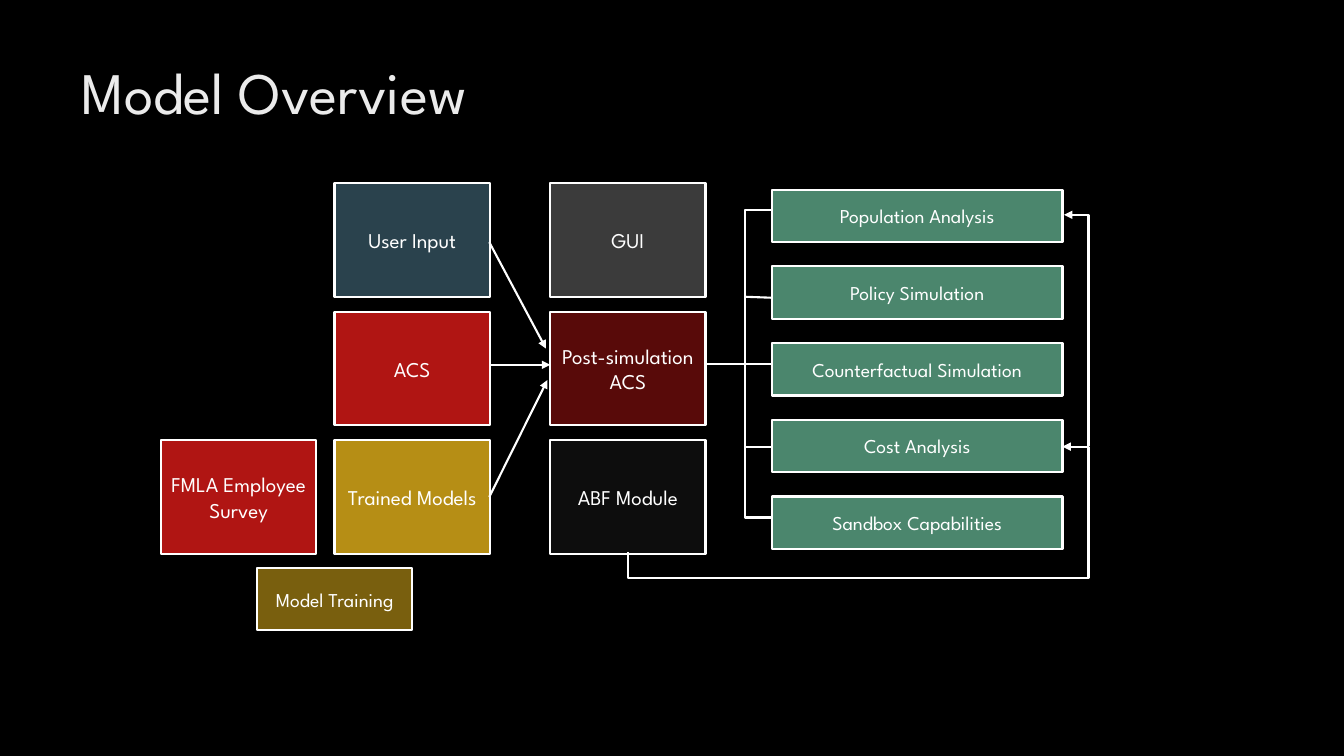
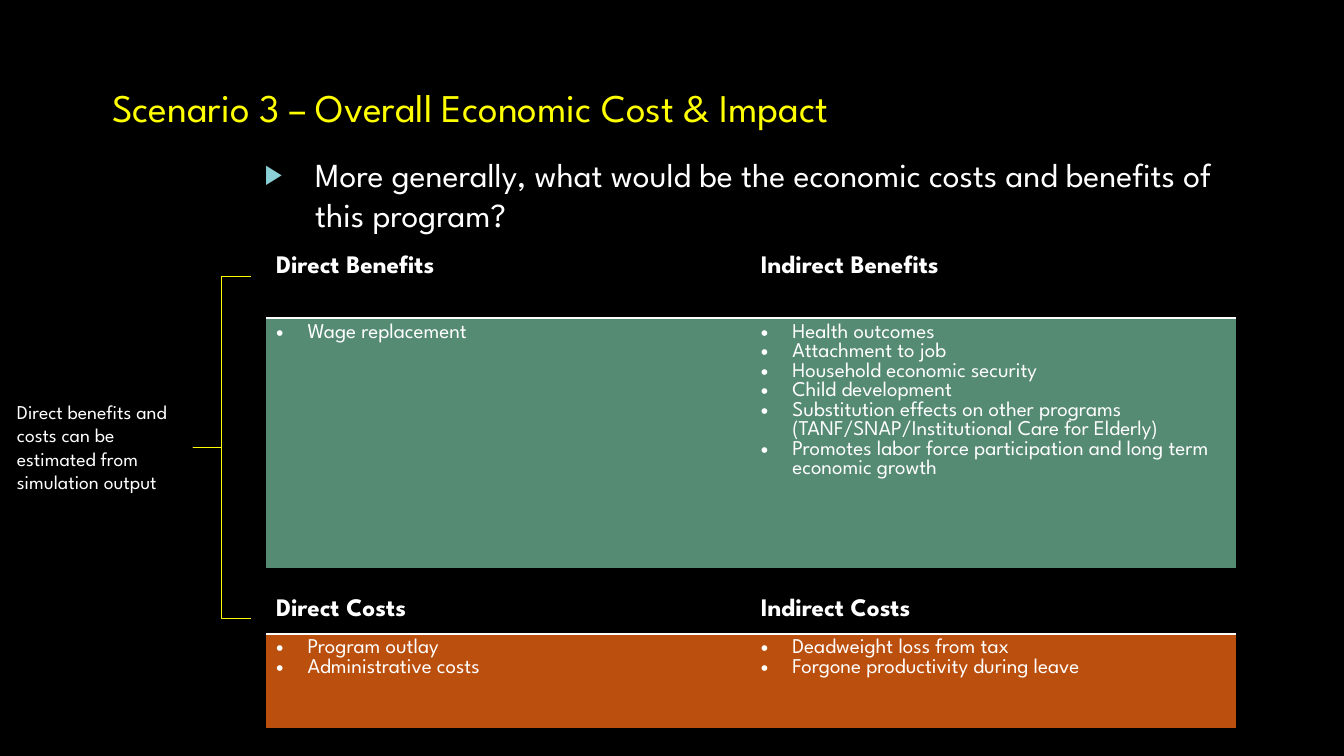
from lxml import etree
from pptx import Presentation
from pptx.dml.color import RGBColor as Rgb
from pptx.enum.shapes import MSO_CONNECTOR as Link, MSO_SHAPE as Form
from pptx.enum.text import MSO_ANCHOR as Anchor, PP_ALIGN as Align
from pptx.oxml.ns import qn
from pptx.util import Pt

FONT = "League Spartan"
NO_STYLE = "{2D5ABB26-0587-4C30-8999-92F81FD0307C}"
HUES = {
    "black": "000000", "white": "FFFFFF", "pale": "EBEBEB", "yellow": "FFFF00",
    "red": "B01513", "maroon": "580A09", "gold": "B68E15", "brown": "795F0E",
    "slate": "2A424D", "gray": "3B3B3B", "coal": "0D0D0D", "green": "4B866D",
    "sage": "558A73", "rust": "BB4F0E", "aqua": "8AD0D6",
}


def hue(name):
    return Rgb.from_string(HUES[name])


def node(root, tag, **attrs):
    return etree.SubElement(root, qn(tag), attrs)


class Deck:
    """Holds the style and the current slide."""

    def __init__(self, wide, high):
        self.file = Presentation()
        self.file.slide_width, self.file.slide_height = Pt(wide), Pt(high)
        self.slide = None

    def page(self):
        self.slide = self.file.slides.add_slide(self.file.slide_layouts[6])
        fill = self.slide.background.fill
        fill.solid()
        fill.fore_color.rgb = hue("black")

    def run(self, para, text, size, color="white", bold=False):
        run = para.add_run()
        run.text = text
        font = run.font
        font.name, font.size, font.bold = FONT, Pt(size), bold
        font.color.rgb = hue(color)

    def bullet(self, para, left, hang, char="•", color=None, scale=100):
        props = para._p.get_or_add_pPr()
        props.set("marL", str(Pt(left)))
        props.set("indent", str(Pt(-hang)))
        if color:
            node(node(props, "a:buClr"), "a:srgbClr", val=HUES[color])
        node(props, "a:buSzPct", val=str(scale * 1000))
        node(props, "a:buFont", typeface="Arial")
        node(props, "a:buChar", char=char)

    def text(self, x, y, w, h):
        frame = self.slide.shapes.add_textbox(Pt(x), Pt(y), Pt(w), Pt(h)).text_frame
        frame.word_wrap = True
        return frame

    def shape(self, form, x, y, w, h, line, width):
        shape = self.slide.shapes.add_shape(form, Pt(x), Pt(y), Pt(w), Pt(h))
        shape.shadow.inherit = False
        shape.line.color.rgb = hue(line)
        shape.line.width = Pt(width)
        return shape

    def box(self, text, x, y, w, h, fill, size=15):
        box = self.shape(Form.RECTANGLE, x, y, w, h, "white", 1.5)
        box.fill.solid()
        box.fill.fore_color.rgb = hue(fill)
        frame = box.text_frame
        frame.word_wrap = True
        frame.vertical_anchor = Anchor.MIDDLE
        frame.margin_left = frame.margin_right = Pt(5)
        para = frame.paragraphs[0]
        para.alignment = Align.CENTER
        self.run(para, text, size)

    def brace(self, x, y, w, h, line="white", width=1.5):
        brace = self.shape(Form.LEFT_BRACE, x, y, w, h, line, width)
        brace.fill.background()
        brace.adjustments[0] = 0

    def line(self, x1, y1, x2, y2, arrow=False, kind=Link.STRAIGHT):
        line = self.slide.shapes.add_connector(kind, Pt(x1), Pt(y1), Pt(x2), Pt(y2))
        line.line.color.rgb = hue("white")
        line.line.width = Pt(1.5)
        props = line._element.spPr
        if arrow:
            node(props.find(qn("a:ln")), "a:tailEnd", type="triangle")
        node(props, "a:effectLst")
        return props

    def elbow(self, x1, y1, x2, y2, turn, preset, *bends):
        """Bent arrow; the ends are given before the turn in degrees."""
        props = self.line(x1, y1, x2, y2, True, Link.ELBOW)
        props.find(qn("a:xfrm")).set("rot", str(turn * 60000))
        geom = props.find(qn("a:prstGeom"))
        geom.set("prst", preset)
        marks = geom.find(qn("a:avLst"))
        for i, bend in enumerate(bends, 1):
            node(marks, "a:gd", name=f"adj{i}", fmla=f"val {round(bend * 100000)}")

    def table(self, x, y, wide, rows, heads, lists, fill):
        frame = self.slide.shapes.add_table(2, 2, Pt(x), Pt(y), Pt(wide), Pt(sum(rows)))
        grid = frame.table
        grid.first_row = grid.horz_banding = False
        next(frame._element.iter(qn("a:tableStyleId"))).text = NO_STYLE
        for row, high in zip(grid.rows, rows):
            row.height = Pt(high)
        for col, (head, items) in enumerate(zip(heads, lists)):
            top, low = grid.cell(0, col), grid.cell(1, col)
            self.run(top.text_frame.paragraphs[0], head, 18, bold=True)
            # Rule below the header, ahead of the cell fill
            edge = node(top._tc.get_or_add_tcPr(), "a:lnB", w=str(Pt(2)))
            node(node(edge, "a:solidFill"), "a:srgbClr", val=HUES["white"])
            for cell, color in ((top, "black"), (low, fill)):
                cell.fill.solid()
                cell.fill.fore_color.rgb = hue(color)
            for i, item in enumerate(items):
                body = low.text_frame
                para = body.add_paragraph() if i else body.paragraphs[0]
                self.bullet(para, 22.5, 22.5)
                self.run(para, item, 15)


def model(deck):
    deck.page()
    title = deck.text(51, 36, 741, 110)
    deck.run(title.paragraphs[0], "Model Overview", 42, "pale")

    # Inputs and modules on a grid
    cols, top, step = (115, 239, 393), 131, 91.8
    for text, col, row, fill in (
        ("FMLA Employee Survey", 0, 2, "red"),
        ("User Input", 1, 0, "slate"),
        ("ACS", 1, 1, "red"),
        ("Trained Models", 1, 2, "gold"),
        ("GUI", 2, 0, "gray"),
        ("Post-simulation ACS", 2, 1, "maroon"),
        ("ABF Module", 2, 2, "coal"),
    ):
        deck.box(text, cols[col], top + row * step, 111, 81, fill)
    deck.box("Model Training", 183.6, 406, 111, 44, "brown", 14)

    # Arrows into the simulation
    for y1, x2, y2 in ((173, 390, 249), (260.6, 393, 260.6), (355, 391, 271.5)):
        deck.line(349.5, y1, x2, y2, True)

    # Branches out of it
    deck.brace(504, 150, 56, 219.6)
    for y1, y2 in ((212, 213), (260, 260), (319, 319)):
        deck.line(532.5, y1, 560, y2)

    # Outputs
    for i, text in enumerate((
        "Population Analysis", "Policy Simulation", "Counterfactual Simulation",
        "Cost Analysis", "Sandbox Capabilities",
    )):
        deck.box(text, 551.5, 135.4 + i * 54.8, 207.5, 37.5, "green", 14)

    # Feedback from the ABF module
    deck.elbow(641.5, 512, 566, 201.6, 90, "bentConnector4", -0.24, 1.06)
    deck.elbow(686, 245, 851.5, 227.5, 270, "bentConnector2")


def impact(deck):
    deck.page()
    body = deck.text(64, 56, 841, 387)
    head, ask = body.paragraphs[0], body.add_paragraph()
    for para in (head, ask):
        para.space_before = para.space_after = Pt(8.4)
    head._p.get_or_add_pPr().set("marL", str(Pt(9)))
    deck.run(head, "Scenario 3 – Overall Economic Cost & Impact", 28, "yellow")
    deck.bullet(ask, 154, 36, "▶", "aqua", 80)
    deck.run(ask, "More generally, what would be the economic costs and "
                  "benefits of this program?", 24)

    # Benefits and costs
    deck.table(190, 179.3, 692.6, (48, 178.5),
               ("Direct Benefits", "Indirect Benefits"),
               (("Wage replacement",),
                ("Health outcomes", "Attachment to job",
                 "Household economic security", "Child development",
                 "Substitution effects on other programs "
                 "(TANF/SNAP/Institutional Care for Elderly)",
                 "Promotes labor force participation and long term "
                 "economic growth")), "sage")
    deck.table(190, 424, 692.6, (23.5, 67),
               ("Direct Costs", "Indirect Costs"),
               (("Program outlay", "Administrative costs"),
                ("Deadweight loss from tax",
                 "Forgone productivity during leave")), "rust")

    # Side note
    deck.brace(138, 197.3, 41, 244.8, "yellow", 0.75)
    note = deck.text(5, 282, 142.5, 75)
    deck.run(note.paragraphs[0], "Direct benefits and costs can be estimated "
                                 "from simulation output", 14)


def main():
    deck = Deck(960, 540)
    model(deck)
    impact(deck)
    deck.file.save("out.pptx")


if __name__ == "__main__":
    main()
